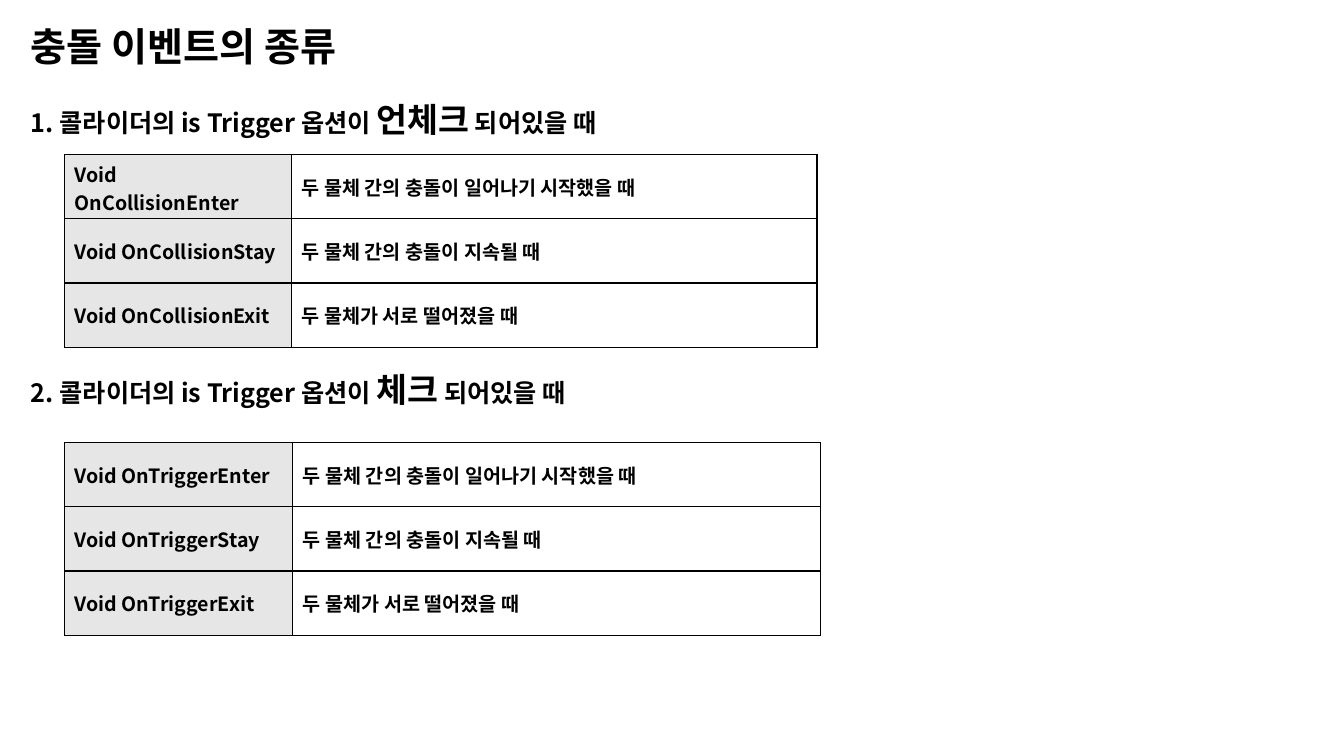
"""Build the slide on the kinds of collision events."""
import pptx
import pptx.dml.color
import pptx.enum.text
import pptx.oxml
import pptx.oxml.ns
import pptx.util

Cm = pptx.util.Cm
BLACK = pptx.dml.color.RGBColor(0x00, 0x00, 0x00)
GREY = pptx.dml.color.RGBColor(0xE7, 0xE6, 0xE6)
WHITE = pptx.dml.color.RGBColor(0xFF, 0xFF, 0xFF)
FACE = "Noto Sans CJK KR"
NS = pptx.oxml.ns.nsdecls("a")

TITLE = "충돌 이벤트의 종류"
HEAD = "콜라이더의 is Trigger 옵션이 "
TAIL = " 되어있을 때"
STEPS = [
    ("Enter", "두 물체 간의 충돌이 일어나기 시작했을 때"),
    ("Stay", "두 물체 간의 충돌이 지속될 때"),
    ("Exit", "두 물체가 서로 떨어졌을 때"),
]
PARTS = [
    {"state": "언체크", "event": "Collision", "top": 2.36, "grid": 3.89, "cols": (5.72, 13.24)},
    {"state": "체크", "event": "Trigger", "top": 9.17, "grid": 11.15, "cols": (5.75, 13.29)},
]
LEFT, INSET, ROW = 0.53, 1.63, 1.62


def write(frame, runs):
    """Add styled runs to the first paragraph."""
    for text, size in runs:
        run = frame.paragraphs[0].add_run()
        run.text = text
        look = {"name": FACE, "size": pptx.util.Pt(size), "bold": True}
        for key, value in look.items():
            setattr(run.font, key, value)
        run.font.color.rgb = BLACK
        run.font._element.append(pptx.oxml.parse_xml(f'<a:ea {NS} typeface="{FACE}"/>'))


def label(slide, top, width, height, runs):
    """Add one line of text."""
    box = slide.shapes.add_textbox(Cm(LEFT), Cm(top), Cm(width), Cm(height))
    look = {"word_wrap": True, "auto_size": pptx.enum.text.MSO_AUTO_SIZE.SHAPE_TO_FIT_TEXT}
    for key, value in look.items():
        setattr(box.text_frame, key, value)
    write(box.text_frame, runs)


def border(cell):
    """Draw a thin black line on each side of a cell."""
    props = cell._tc.get_or_add_tcPr()
    for spot, side in enumerate(("lnL", "lnR", "lnT", "lnB")):
        props.insert(spot, pptx.oxml.parse_xml(
            f'<a:{side} {NS} w="12700"><a:solidFill><a:srgbClr val="{BLACK}"/>'
            f'</a:solidFill></a:{side}>'))


def grid(slide, part):
    """Add the table of events for one part."""
    cols = part["cols"]
    table = slide.shapes.add_table(
        len(STEPS), len(cols), Cm(INSET), Cm(part["grid"]),
        Cm(sum(cols)), Cm(ROW * len(STEPS))).table
    for col, width in zip(table.columns, cols):
        col.width = Cm(width)
    for r, (step, note) in enumerate(STEPS):
        table.rows[r].height = Cm(ROW)
        texts = (f"Void On{part['event']}{step}", note)
        for c, (text, fill) in enumerate(zip(texts, (GREY, WHITE))):
            cell = table.cell(r, c)
            cell.vertical_anchor = pptx.enum.text.MSO_ANCHOR.MIDDLE
            cell.fill.solid()
            cell.fill.fore_color.rgb = fill
            border(cell)
            write(cell.text_frame, [(text, 14)])


def main():
    """Assemble and save the slide."""
    deck = pptx.Presentation()
    deck.slide_width, deck.slide_height = Cm(33.87), Cm(19.05)
    slide = deck.slides.add_slide(deck.slide_layouts[6])
    label(slide, 0.43, 16.81, 1.45, [(TITLE, 28)])
    for num, part in enumerate(PARTS, 1):
        label(slide, part["top"], 31.45, 1.27,
              [(f"{num}. {HEAD}", 18), (part["state"], 24), (TAIL, 18)])
        grid(slide, part)
    deck.save("out.pptx")


if __name__ == "__main__":
    main()
